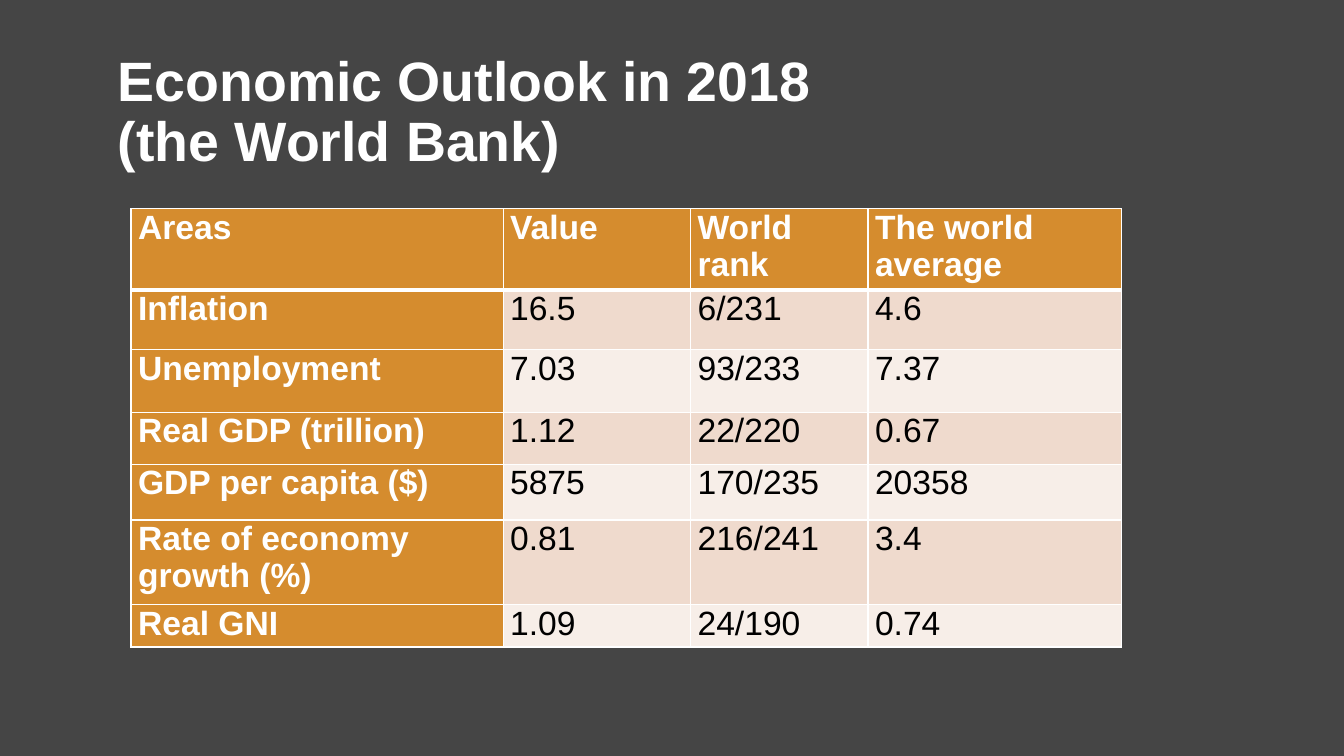
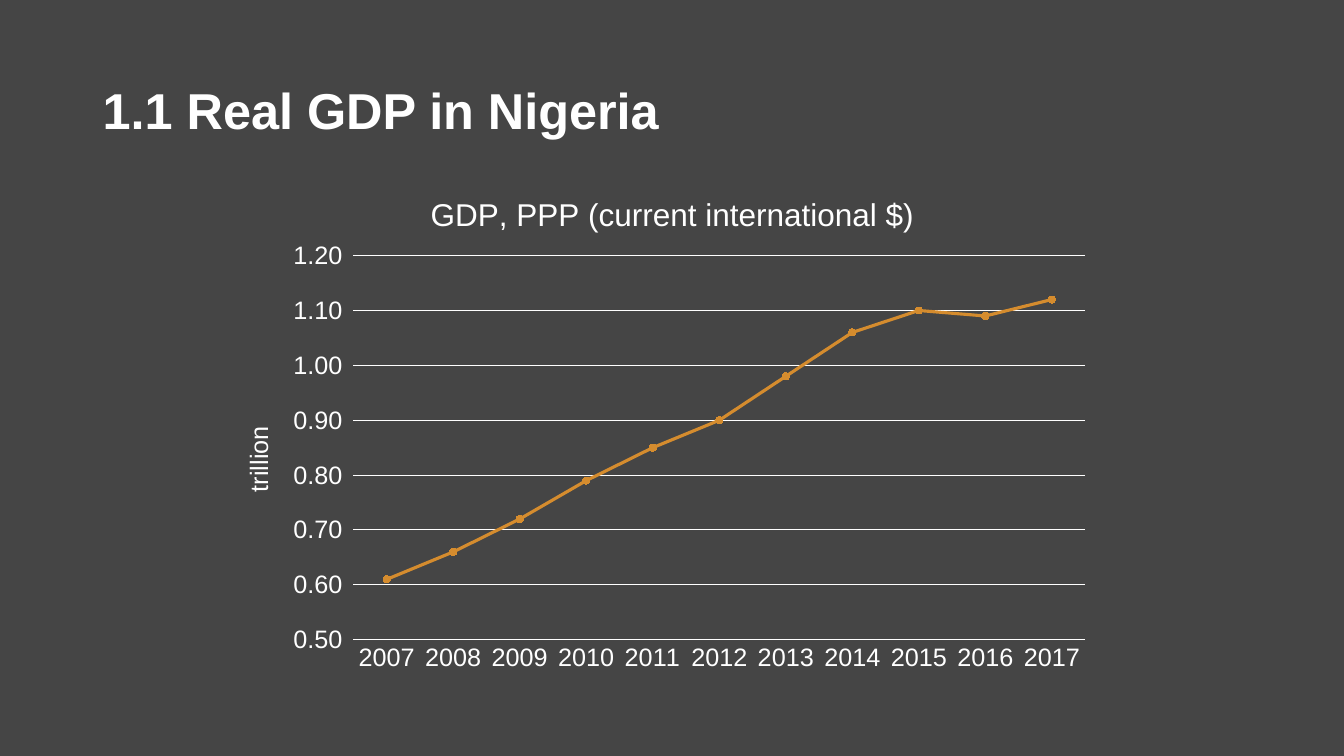
"""Build two slides on an economic outlook: an indicator table and a GDP line chart."""
import lxml.etree
import pptx
import pptx.chart.data
import pptx.dml.color
import pptx.enum.chart
import pptx.enum.text
import pptx.oxml.ns
import pptx.util

Inches, Pt, qn = pptx.util.Inches, pptx.util.Pt, pptx.oxml.ns.qn
FONT = "Arial"
BACKGROUND, WHITE, BLACK, ORANGE = "454545", "FFFFFF", "000000", "D58C2E"
BANDS = ["F7EEE8", "EFDACD"]


def paint(target, color):
    """Give a fill, line fill or font colour a solid hex colour."""
    if hasattr(target, "solid"):
        target.solid()
        target = target.fore_color
    else:
        target = target.color
    target.rgb = pptx.dml.color.RGBColor.from_string(color)


def place(part, index, **shares):
    """Fix a chart part at shares of the chart's size."""
    for automatic in part.findall(qn("c:layout")):
        part.remove(automatic)
    layout = lxml.etree.Element(qn("c:layout"))
    manual = lxml.etree.SubElement(layout, qn("c:manualLayout"))
    settings = {"xMode": "edge", "yMode": "edge", **shares}
    if "w" in shares:
        settings = {"layoutTarget": "inner", **settings}
    for tag, value in settings.items():
        lxml.etree.SubElement(manual, qn("c:" + tag)).set("val", str(value))
    part.insert(index, layout)


deck = pptx.Presentation()
deck.slide_width, deck.slide_height = Inches(13.33), Inches(7.5)
paint(deck.slide_master.background.fill, BACKGROUND)

headings = [
    (["Economic Outlook in 2018", "(the World Bank)"], 1.07, 39.6),
    (["1.1 Real GDP in Nigeria"], 0.92, 36),
]
slides = []
for lines, left, size in headings:
    slide = deck.slides.add_slide(deck.slide_layouts[6])
    slides.append(slide)
    heading = slide.shapes.add_textbox(Inches(left), Inches(0.4), Inches(11.5), Inches(1.45))
    heading.text_frame.word_wrap = True
    heading.text_frame.vertical_anchor = pptx.enum.text.MSO_ANCHOR.MIDDLE
    paragraph = heading.text_frame.paragraphs[0]
    paragraph.line_spacing = 0.9
    for number, line in enumerate(lines):
        if number:
            paragraph.add_line_break()
        run = paragraph.add_run()
        run.text = line
        run.font.name, run.font.size, run.font.bold = FONT, Pt(size), True
        paint(run.font, WHITE)
outlook_slide, gdp_slide = slides

indicators = [
    ["Areas", "Value", "World rank", "The world average"],
    ["Inflation", "16.5", "6/231", "4.6"],
    ["Unemployment", "7.03", "93/233", "7.37"],
    ["Real GDP (trillion)", "1.12", "22/220", "0.67"],
    ["GDP per capita ($)", "5875", "170/235", "20358"],
    ["Rate of economy growth (%)", "0.81", "216/241", "3.4"],
    ["Real GNI", "1.09", "24/190", "0.74"],
]
widths = [3.69, 1.86, 1.76, 2.51]
heights = [0.81, 0.59, 0.62, 0.52, 0.55, 0.84, 0.42]
outlook = outlook_slide.shapes.add_table(
    len(heights), len(widths), Inches(1.3), Inches(2.07),
    Inches(sum(widths)), Inches(sum(heights))).table
outlook.first_row = outlook.horz_banding = False
for column, width in zip(outlook.columns, widths):
    column.width = Inches(width)
for row, height in zip(outlook.rows, heights):
    row.height = Inches(height)

for r, values in enumerate(indicators):
    for c, value in enumerate(values):
        cell = outlook.cell(r, c)
        is_label = r == 0 or c == 0
        cell.margin_left = cell.margin_right = Inches(0.07)
        cell.margin_top = cell.margin_bottom = 0
        paint(cell.fill, ORANGE if is_label else BANDS[r % 2])
        run = cell.text_frame.paragraphs[0].add_run()
        run.text = value
        run.font.name, run.font.size, run.font.bold = FONT, Pt(24), is_label
        paint(run.font, WHITE if is_label else BLACK)
        properties = cell._tc.get_or_add_tcPr()
        for index, side in enumerate(["lnL", "lnR", "lnT", "lnB"]):
            under_header = (r, side) in [(0, "lnB"), (1, "lnT")]
            border = lxml.etree.Element(qn("a:" + side), w=str(Pt(3 if under_header else 1)))
            solid = lxml.etree.SubElement(border, qn("a:solidFill"))
            lxml.etree.SubElement(solid, qn("a:srgbClr"), val=WHITE)
            properties.insert(index, border)

gdp = pptx.chart.data.CategoryChartData(number_format="0.00")
gdp.categories = [str(year) for year in range(2007, 2018)]
gdp.add_series("Series 1", [0.61, 0.66, 0.72, 0.79, 0.85, 0.9, 0.98, 1.06, 1.1, 1.09, 1.12])
chart = gdp_slide.shapes.add_chart(
    pptx.enum.chart.XL_CHART_TYPE.LINE_MARKERS,
    Inches(2.09), Inches(1.61), Inches(8.85), Inches(5.15), gdp).chart
chart.has_legend = False
chart.font.name, chart.font.size = FONT, Pt(18)
paint(chart.font, WHITE)
chart_area = lxml.etree.Element(qn("c:spPr"))
lxml.etree.SubElement(chart_area, qn("a:noFill"))
chart.element.find(qn("c:chart")).addnext(chart_area)

years, trillions = chart.category_axis, chart.value_axis
chart.has_title = trillions.has_title = True
captions = [
    (chart.chart_title, "GDP, PPP (current international $)", 22.5, 0.24, 0.05),
    (trillions.axis_title, "trillion", 18, 0.03, 0.5),
]
for caption, wording, size, x, y in captions:
    run = caption.text_frame.paragraphs[0].add_run()
    run.text = wording
    run.font.name, run.font.size, run.font.bold = FONT, Pt(size), False
    paint(run.font, WHITE)
    place(caption.element, 1, x=x, y=y)
place(chart.element.find(".//" + qn("c:plotArea")), 0, x=0.16, y=0.18, w=0.82, h=0.74)

for axis in (years, trillions):
    axis.major_tick_mark = axis.minor_tick_mark = pptx.enum.chart.XL_TICK_MARK.NONE
    axis.tick_labels.font.name, axis.tick_labels.font.size = FONT, Pt(18)
    paint(axis.tick_labels.font, WHITE)
years.has_major_gridlines = False
trillions.has_major_gridlines = True
trillions.minimum_scale, trillions.maximum_scale, trillions.major_unit = 0.5, 1.2, 0.1
trillions.tick_labels.number_format = "0.00_ "
trillions.tick_labels.number_format_is_linked = False
trillions.format.line.fill.background()
for rule in (years.format.line, trillions.major_gridlines.format.line):
    paint(rule.fill, WHITE)
    rule.width = Pt(0.75)

chart.plots[0].vary_by_categories = False
growth = chart.plots[0].series[0]
growth.smooth = False
paint(growth.format.line.fill, ORANGE)
growth.format.line.width = Pt(2.25)
growth.marker.style = pptx.enum.chart.XL_MARKER_STYLE.CIRCLE
growth.marker.size = 5
paint(growth.marker.format.fill, ORANGE)
paint(growth.marker.format.line.fill, ORANGE)

deck.save("out.pptx")
